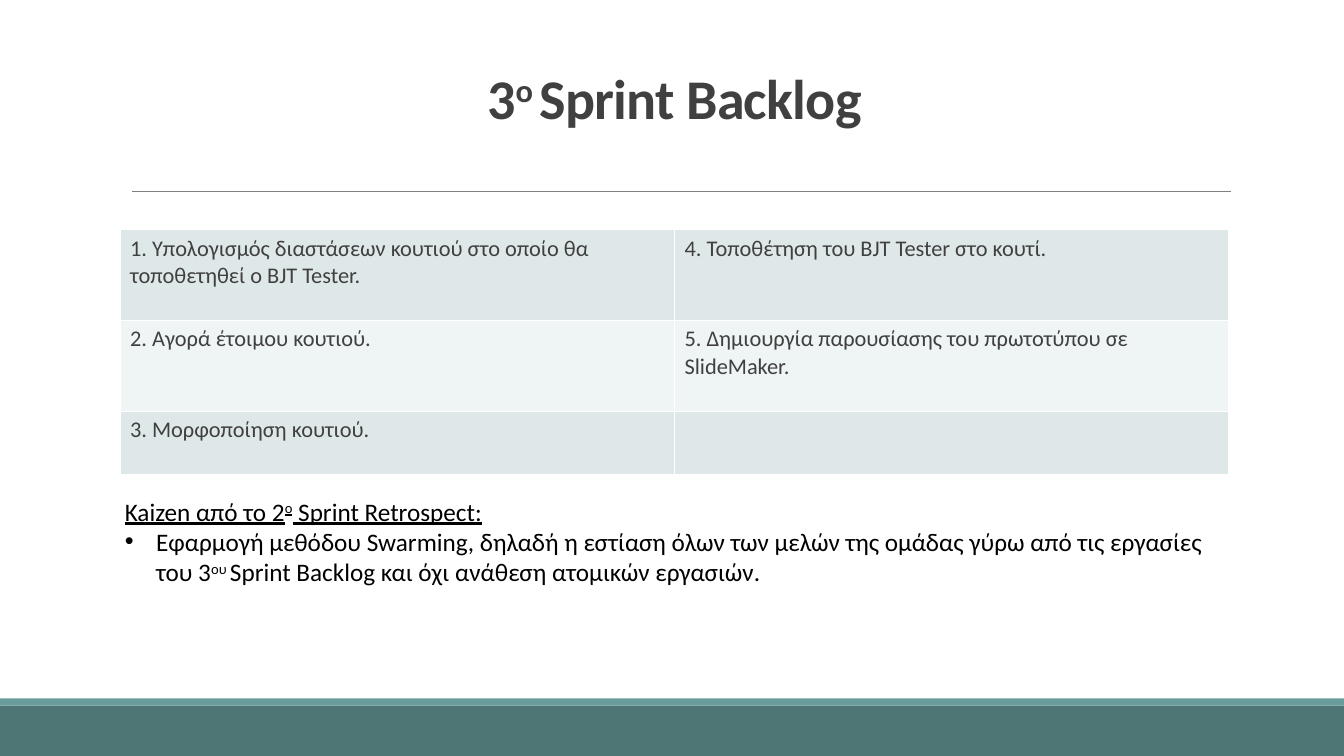
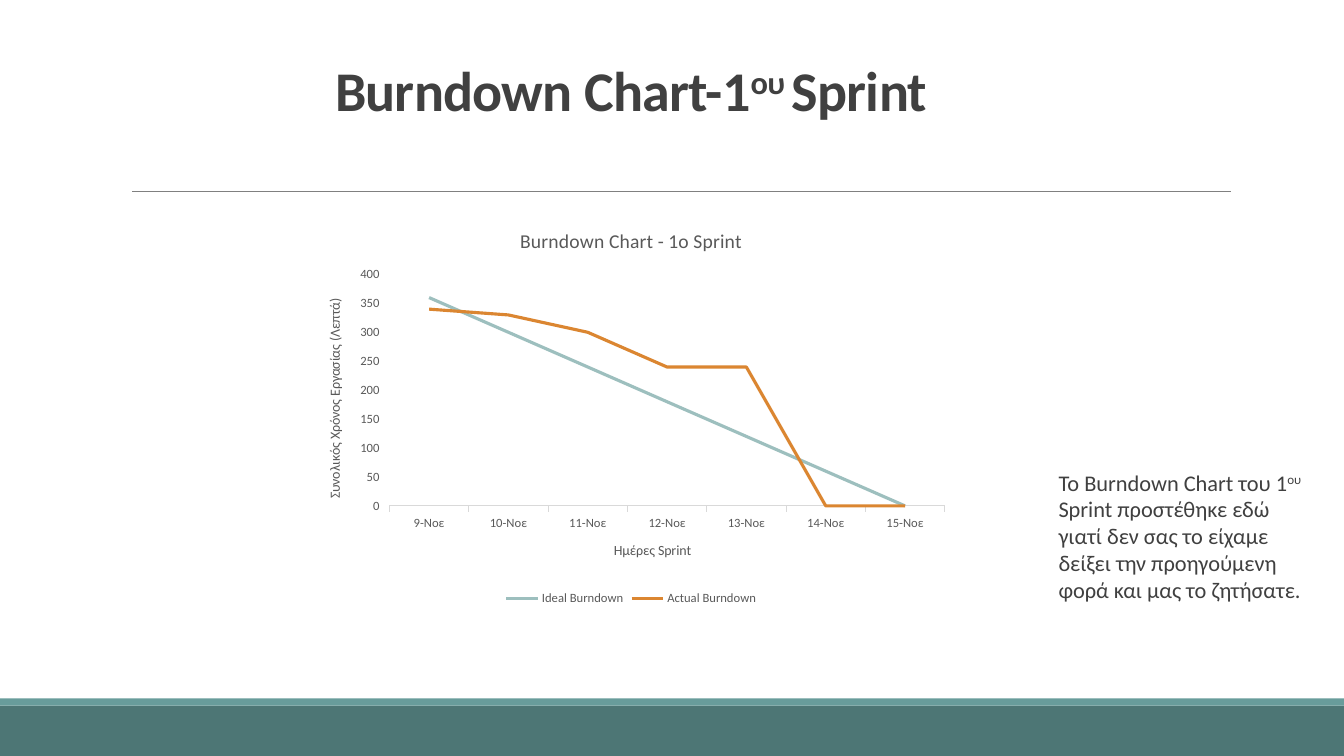
from dataclasses import dataclass

from lxml.etree import SubElement
from pptx import Presentation
from pptx.chart.data import CategoryChartData
from pptx.dml.color import RGBColor
from pptx.enum.chart import XL_CHART_TYPE as ChartType, XL_LEGEND_POSITION as LegendSpot, XL_TICK_MARK as Tick
from pptx.enum.shapes import MSO_CONNECTOR as Connector, MSO_SHAPE as Preset
from pptx.enum.text import MSO_ANCHOR as Anchor, PP_ALIGN as Align
from pptx.oxml.ns import qn
from pptx.util import Pt


@dataclass(frozen=True)
class Theme:
    """Colours, type sizes and font shared by the slides."""
    font: str = "Calibri"
    band: str = "4D7675"
    stripe: str = "689C9B"
    rule: str = "808080"
    ink: str = "404040"
    black: str = "000000"
    white: str = "FFFFFF"
    rows: tuple = ("DFE8E8", "EFF4F4")
    chart_ink: str = "595959"
    axis: str = "D9D9D9"
    series: tuple = ("9DBFBE", "DB8631")
    title_size: int = 40
    note_size: int = 18
    body_size: int = 16
    chart_title_size: int = 14
    axis_title_size: int = 10
    label_size: int = 9


THEME = Theme()
EMU_PER_PX = 9144
WIDTH, HEIGHT = 1333, 750


def px(*lengths):
    """Turn px lengths, 100 to the inch, into EMU."""
    return [length * EMU_PER_PX for length in lengths]


def style_font(font, size, colour, bold=False, underline=False):
    """Apply the theme font with a size and colour."""
    font.name, font.size, font.bold = THEME.font, Pt(size), bold
    font.color.rgb = RGBColor.from_string(colour)
    if underline:
        font.underline = True


def add_runs(paragraph, pieces, size, colour, spacing=0, **emphasis):
    """Add runs in turn, where every second piece is superscript."""
    for index, piece in enumerate(pieces):
        run = paragraph.add_run()
        run.text = piece
        style_font(run.font, size, colour, **emphasis)
        properties = run.font._element
        if index % 2:
            properties.set("baseline", "30000")
        if spacing:
            properties.set("spc", str(spacing))


def add_text_frame(slide, box, anchor=Anchor.TOP):
    """Add a wrapping text box and return its frame."""
    frame = slide.shapes.add_textbox(*px(*box)).text_frame
    frame.word_wrap = True
    frame.vertical_anchor = anchor
    return frame


def add_title(slide, box, *pieces):
    """Add the centred bold slide title."""
    heading = add_text_frame(slide, box, Anchor.BOTTOM).paragraphs[0]
    heading.alignment = Align.CENTER
    heading.line_spacing = 0.85
    add_runs(heading, pieces, THEME.title_size, THEME.ink, spacing=-50, bold=True)


def make_bullet(paragraph, indent):
    """Give a paragraph a bullet with a hanging indent."""
    properties = paragraph._p.get_or_add_pPr()
    properties.set("marL", str(indent * EMU_PER_PX))
    properties.set("indent", str(-indent * EMU_PER_PX))
    SubElement(properties, qn("a:buFont"), typeface="Arial")
    SubElement(properties, qn("a:buChar"), char="•")


def add_band(slide, top, height, colour):
    """Add a full-width plain band."""
    band = slide.shapes.add_shape(Preset.RECTANGLE, *px(0, top, WIDTH, height))
    band.shadow.inherit = False
    band.fill.solid()
    band.fill.fore_color.rgb = RGBColor.from_string(colour)
    band.line.fill.background()


def add_rule(slide, left, right, top):
    """Add the thin line below the title."""
    rule = slide.shapes.add_connector(Connector.STRAIGHT, *px(left, top, right, top))
    rule.line.color.rgb = RGBColor.from_string(THEME.rule)
    rule.line.width = Pt(0.5)
    SubElement(rule._element.spPr, qn("a:effectLst"))


def add_base_slide(deck):
    """Add a blank slide with the shared bands and rule."""
    slide = deck.slides.add_slide(deck.slide_layouts[6])
    add_band(slide, 700, 50, THEME.band)
    add_band(slide, 693, 7, THEME.stripe)
    add_rule(slide, 131, 1221, 190)
    return slide


def add_borders(cell):
    """Draw white borders on all sides of a cell."""
    properties = cell._tc.get_or_add_tcPr()
    for side in ("lnL", "lnR", "lnT", "lnB"):
        border = SubElement(properties, qn(f"a:{side}"), w=str(Pt(1)))
        fill = SubElement(border, qn("a:solidFill"))
        SubElement(fill, qn("a:srgbClr"), val=THEME.white)


def add_backlog(slide, box, row_heights, tasks):
    """Add the task table with alternating row fills."""
    table = slide.shapes.add_table(len(tasks), len(tasks[0]), *px(*box)).table
    table.first_row = table.horz_banding = False
    for index, (height, row) in enumerate(zip(row_heights, tasks)):
        table.rows[index].height = height * EMU_PER_PX
        for column, task in enumerate(row):
            cell = table.cell(index, column)
            add_borders(cell)
            cell.fill.solid()
            cell.fill.fore_color.rgb = RGBColor.from_string(THEME.rows[index % 2])
            if task:
                add_runs(cell.text_frame.paragraphs[0], [task], THEME.body_size, THEME.ink)


def style_axis(axis, title):
    """Style the labels, title and ticks of an axis."""
    axis.has_major_gridlines = False
    axis.major_tick_mark = Tick.OUTSIDE
    style_font(axis.tick_labels.font, THEME.label_size, THEME.chart_ink)
    caption = axis.axis_title.text_frame
    add_runs(caption.paragraphs[0], [title], THEME.axis_title_size, THEME.chart_ink)
    return caption


def place_plot(chart, **fractions):
    """Fix the inner plot area as fractions of the chart."""
    plot_area = chart._chartSpace.chart.plotArea
    for layout in plot_area.findall(qn("c:layout")):
        plot_area.remove(layout)
    layout = SubElement(plot_area, qn("c:layout"))
    plot_area.insert(0, layout)
    manual = SubElement(layout, qn("c:manualLayout"))
    settings = dict(layoutTarget="inner", xMode="edge", yMode="edge", **fractions)
    for key, setting in settings.items():
        SubElement(manual, qn(f"c:{key}"), val=str(setting))


def add_burndown(slide, box, title, days, series):
    """Add the burndown line chart."""
    data = CategoryChartData()
    data.categories = days
    for name, minutes in series.items():
        data.add_series(name, minutes)
    chart = slide.shapes.add_chart(ChartType.LINE, *px(*box), data).chart
    style_font(chart.font, THEME.axis_title_size, THEME.black)
    chart.has_title = True
    add_runs(chart.chart_title.text_frame.paragraphs[0], [title], THEME.chart_title_size, THEME.chart_ink)
    chart.chart_title.include_in_layout = False
    chart.has_legend = True
    chart.legend.position = LegendSpot.BOTTOM
    chart.legend.include_in_layout = False
    style_font(chart.legend.font, THEME.label_size, THEME.chart_ink)

    style_axis(chart.category_axis, "Ημέρες Sprint")
    axis_line = chart.category_axis.format.line
    axis_line.color.rgb = RGBColor.from_string(THEME.axis)
    axis_line.width = Pt(0.75)
    caption = style_axis(chart.value_axis, "Συνολικός Χρόνος Εργασίας (Λεπτά)")
    caption._txBody.find(qn("a:bodyPr")).set("rot", "-5400000")
    chart.value_axis.format.line.fill.background()
    chart.value_axis.minimum_scale, chart.value_axis.maximum_scale = 0, 400
    chart.value_axis.major_unit = 50

    chart.plots[0].vary_by_categories = False
    for trend, colour in zip(chart.plots[0].series, THEME.series):
        trend.smooth = False
        trend.format.line.color.rgb = RGBColor.from_string(colour)
        trend.format.line.width = Pt(2.25)
    place_plot(chart, x=0.13, y=0.16, w=0.85, h=0.58)


def build_backlog_slide(deck):
    """Build the sprint backlog slide."""
    slide = add_base_slide(deck)
    add_title(slide, (119, 67, 1100, 68), "3", "ο ", "Sprint Backlog")
    kaizen = add_text_frame(slide, (114, 487, 1100, 101))
    add_runs(kaizen.paragraphs[0], ["Kaizen από το 2", "ο", " Sprint Retrospect:"],
             THEME.note_size, THEME.black, underline=True)
    method = kaizen.add_paragraph()
    make_bullet(method, 31)
    add_runs(method, [
        "Εφαρμογή μεθόδου Swarming, δηλαδή η εστίαση όλων των μελών της ομάδας γύρω από τις εργασίες του 3",
        "ου ", "Sprint Backlog και όχι ανάθεση ατομικών εργασιών."], THEME.note_size, THEME.black)
    add_backlog(slide, (119, 228, 1100, 243), (90, 90, 63), [
        ("1. Υπολογισμός διαστάσεων κουτιού στο οποίο θα τοποθετηθεί ο BJT Tester.",
         "4. Τοποθέτηση του BJT Tester στο κουτί."),
        ("2. Αγορά έτοιμου κουτιού.", "5. Δημιουργία παρουσίασης του πρωτοτύπου σε SlideMaker."),
        ("3. Μορφοποίηση κουτιού.", ""),
    ])


def build_burndown_slide(deck):
    """Build the burndown chart slide."""
    slide = add_base_slide(deck)
    add_title(slide, (76, 60, 1100, 67), "Burndown Chart-1", "ου ", "Sprint")
    add_burndown(slide, (302, 209, 648, 396), "Burndown Chart - 1ο Sprint",
                 [f"{day}-Νοε" for day in range(9, 16)],
                 {"Ideal Burndown": range(360, -1, -60),
                  "Actual Burndown": (340, 330, 300, 240, 240, 0, 0)})
    remark = add_text_frame(slide, (1040, 460, 272, 145))
    add_runs(remark.paragraphs[0], [
        "Το Burndown Chart του 1", "ου ",
        "Sprint προστέθηκε εδώ γιατί δεν σας το είχαμε δείξει την προηγούμενη φορά και μας το ζητήσατε."],
        THEME.body_size, THEME.ink)


def main():
    """Build and save the presentation."""
    deck = Presentation()
    deck.slide_width, deck.slide_height = px(WIDTH, HEIGHT)
    build_backlog_slide(deck)
    build_burndown_slide(deck)
    deck.save("out.pptx")


if __name__ == "__main__":
    main()
